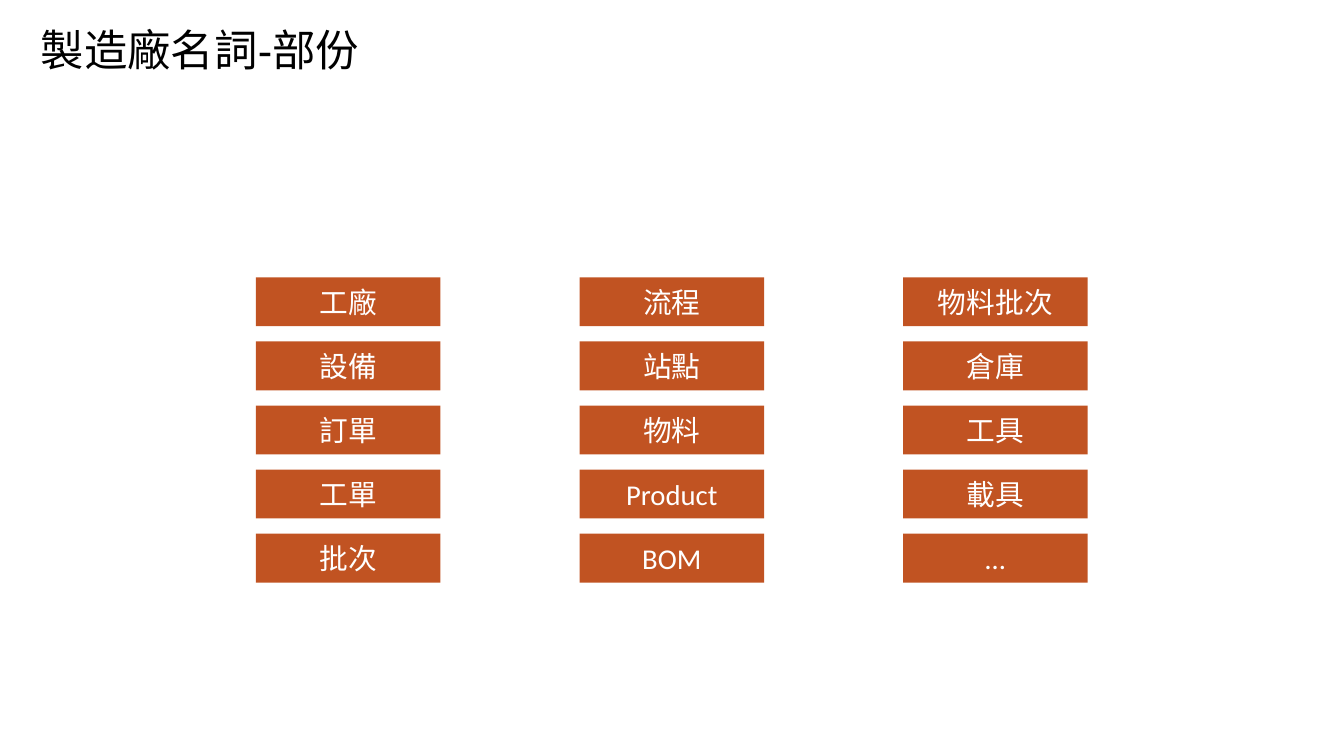
from pptx import Presentation
from pptx.dml.color import RGBColor
from pptx.enum.shapes import MSO_SHAPE as Shape
from pptx.enum.text import MSO_ANCHOR as Anchor, PP_ALIGN as Align
from pptx.util import Cm, Pt

RUST = RGBColor(0xC1, 0x53, 0x22)
WHITE = RGBColor(0xFF, 0xFF, 0xFF)
BLACK = RGBColor(0x00, 0x00, 0x00)

# Grid of terms, in cm
LEFT, TOP = 12.9, 13.98
STEP_X, STEP_Y = 16.31, 3.23
WIDTH, HEIGHT = 9.3, 2.46

TERMS = [
    ["工廠", "設備", "訂單", "工單", "批次"],
    ["流程", "站點", "物料", "Product", "BOM"],
    ["物料批次", "倉庫", "工具", "載具", "…"],
]


def set_text(shape, text, face, size, color, align):
    frame = shape.text_frame
    frame.word_wrap = True
    frame.vertical_anchor = Anchor.MIDDLE
    frame.margin_left = frame.margin_right = Cm(0.15)
    frame.margin_top = frame.margin_bottom = Cm(0.15)
    para = frame.paragraphs[0]
    para.text = text
    para.alignment = align
    para.font.name = face
    para.font.size = Pt(size)
    para.font.color.rgb = color
    return para


def add_title(slide, text):
    box = slide.shapes.add_textbox(Cm(1.9), Cm(0.79), Cm(16.38), Cm(3.66))
    para = set_text(box, text, "Arial", 62, BLACK, Align.LEFT)
    para.line_spacing = 0.9


def add_term(slide, text, x, y):
    box = slide.shapes.add_shape(
        Shape.RECTANGLE, Cm(x), Cm(y), Cm(WIDTH), Cm(HEIGHT))
    box.shadow.inherit = False
    box.fill.solid()
    box.fill.fore_color.rgb = RUST
    box.line.fill.background()
    set_text(box, text, "Calibri", 41, WHITE, Align.CENTER)


def main():
    deck = Presentation()
    deck.slide_width, deck.slide_height = Cm(67.74), Cm(38.1)
    slide = deck.slides.add_slide(deck.slide_layouts[6])

    # Three columns of terms
    for col, terms in enumerate(TERMS):
        for row, term in enumerate(terms):
            add_term(slide, term, LEFT + col * STEP_X, TOP + row * STEP_Y)

    # Heading
    add_title(slide, "製造廠名詞-部份")

    deck.save("out.pptx")


if __name__ == "__main__":
    main()
